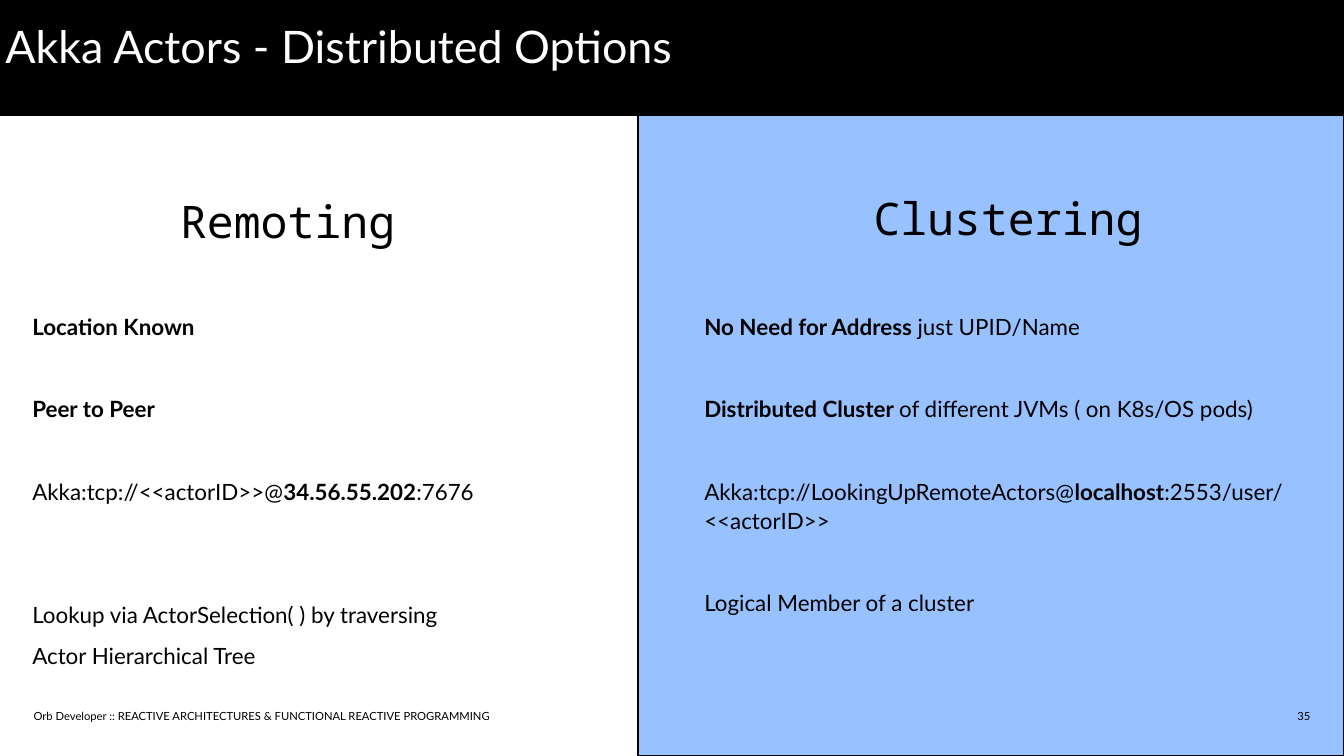
import pptx
import pptx.dml.color
import pptx.enum.shapes
import pptx.enum.text
import pptx.oxml.ns
import pptx.util
from lxml import etree

Inches, Pt = pptx.util.Inches, pptx.util.Pt
PP_ALIGN = pptx.enum.text.PP_ALIGN
ANCHOR = pptx.enum.text.MSO_ANCHOR

BLACK = pptx.dml.color.RGBColor(0x00, 0x00, 0x00)
WHITE = pptx.dml.color.RGBColor(0xFF, 0xFF, 0xFF)
SKY = pptx.dml.color.RGBColor(0x97, 0xC1, 0xFF)
SANS, MONO = "Lato", "Noto Sans Mono"

TITLE = "Akka Actors - Distributed Options"
FOOTER = "Orb Developer :: REACTIVE ARCHITECTURES & FUNCTIONAL REACTIVE PROGRAMMING"
PAGE = "35"
OPTIONS = [
    {
        "heading": "Remoting",
        "heading_at": (1.34, 1.45),
        "body_left": 0.24,
        "points": [
            ([("Location Known", True)], 1),
            ([("Peer to Peer", True)], 1),
            ([("Akka:tcp://<<actorID>>@", False), ("34.56.55.202", True), (":7676", False)], 2),
            ([("Lookup via ActorSelection( ) by traversing", False)], 0),
            ([("Actor Hierarchical Tree", False)], 0),
        ],
    },
    {
        "heading": "Clustering",
        "heading_at": (6.5, 1.43),
        "body_left": 5.24,
        "points": [
            ([("No Need for Address ", True), ("just UPID/Name", False)], 1),
            ([("Distributed Cluster ", True), ("of different JVMs ( on K8s/OS pods)", False)], 1),
            ([("Akka:tcp://LookingUpRemoteActors@", False), ("localhost", True),
              (":2553/user/<<actorID>>", False)], 1),
            ([("Logical Member of a cluster", False)], 0),
        ],
    },
]

WIDTH = 10
HEIGHT = WIDTH * 9 / 16
SPLIT = 4.75
BAR_HEIGHT = 0.86
MARGIN = 0.25
HEADING_SIZE = (4.53, 0.88)
BODY_TOP, BODY_SIZE = 2.31, (4.51, 3.56)
FOOTER_TOP, FOOTER_HEIGHT = 5.24, 0.18
LINE, GAP = 16, 6


def place(shape, left, top, width, height):
    shape.left, shape.top = Inches(left), Inches(top)
    shape.width, shape.height = Inches(width), Inches(height)


def paint(shape, color):
    shape.fill.solid()
    shape.fill.fore_color.rgb = color
    shape.line.color.rgb = BLACK
    shape.line.width = Pt(1)


def prepare(frame, anchor=ANCHOR.TOP, inset=0):
    frame.word_wrap = True
    frame.auto_size = pptx.enum.text.MSO_AUTO_SIZE.NONE
    frame.vertical_anchor = anchor
    frame.margin_left = frame.margin_right = Inches(inset)
    frame.margin_top = frame.margin_bottom = Inches(inset)


def style(paragraph, size, font=SANS, color=BLACK, align=PP_ALIGN.LEFT, line=None, after=0):
    paragraph.alignment = align
    paragraph.space_before = Pt(0)
    paragraph.space_after = Pt(after)
    if line:
        paragraph.line_spacing = Pt(line)
    for run in paragraph.runs:
        run.font.name, run.font.size = font, Pt(size)
        run.font.color.rgb = color


def add_label(slide, text, box, size, anchor=ANCHOR.TOP, **look):
    label = slide.shapes.add_textbox(*map(Inches, box))
    prepare(label.text_frame, anchor)
    label.text_frame.text = text
    style(label.text_frame.paragraphs[0], size, **look)


def fill_points(frame, points):
    prepare(frame)
    for index, (parts, skipped_lines) in enumerate(points):
        paragraph = frame.paragraphs[0] if index == 0 else frame.add_paragraph()
        properties = paragraph._p.get_or_add_pPr()
        properties.set("marL", "0")
        properties.set("indent", "0")
        etree.SubElement(properties, pptx.oxml.ns.qn("a:buNone"))
        for text, bold in parts:
            run = paragraph.add_run()
            run.text = text
            run.font.bold = bold
        style(paragraph, 12, line=LINE, after=GAP + skipped_lines * (LINE + GAP))


def main():
    deck = pptx.Presentation()
    deck.slide_width, deck.slide_height = Inches(WIDTH), Inches(HEIGHT)
    slide = deck.slides.add_slide(deck.slide_layouts.get_by_name("Two Content"))
    title, *bodies = slide.placeholders

    panel = slide.shapes.add_shape(
        pptx.enum.shapes.MSO_SHAPE.RECTANGLE,
        *map(Inches, (SPLIT, 0, WIDTH - SPLIT, HEIGHT)))
    panel.shadow.inherit = False
    paint(panel, SKY)
    title.element.addprevious(panel.element)

    place(title, 0, 0, WIDTH, BAR_HEIGHT)
    paint(title, BLACK)
    prepare(title.text_frame, ANCHOR.MIDDLE, 0.04)
    title.text_frame.text = TITLE
    style(title.text_frame.paragraphs[0], 24, color=WHITE, line=LINE, after=GAP)

    for option, body in zip(OPTIONS, bodies):
        add_label(slide, option["heading"], option["heading_at"] + HEADING_SIZE, 24,
                  font=MONO, line=28, after=18)
        place(body, option["body_left"], BODY_TOP, *BODY_SIZE)
        fill_points(body.text_frame, option["points"])

    for text, left, width, align in [
        (FOOTER, MARGIN, SPLIT - MARGIN, PP_ALIGN.LEFT),
        (PAGE, WIDTH - MARGIN - 2, 2, PP_ALIGN.RIGHT),
    ]:
        add_label(slide, text, (left, FOOTER_TOP, width, FOOTER_HEIGHT), 6,
                  anchor=ANCHOR.MIDDLE, align=align)

    deck.save("out.pptx")


if __name__ == "__main__":
    main()
